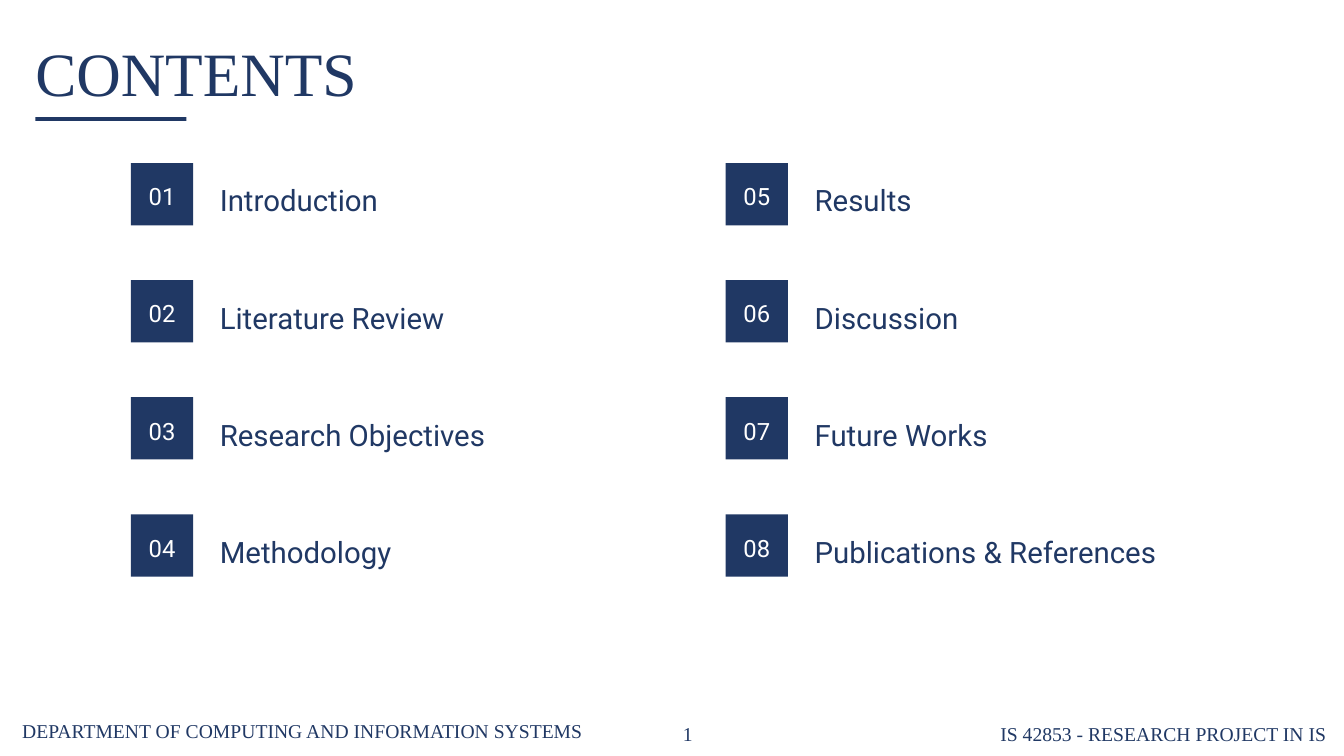
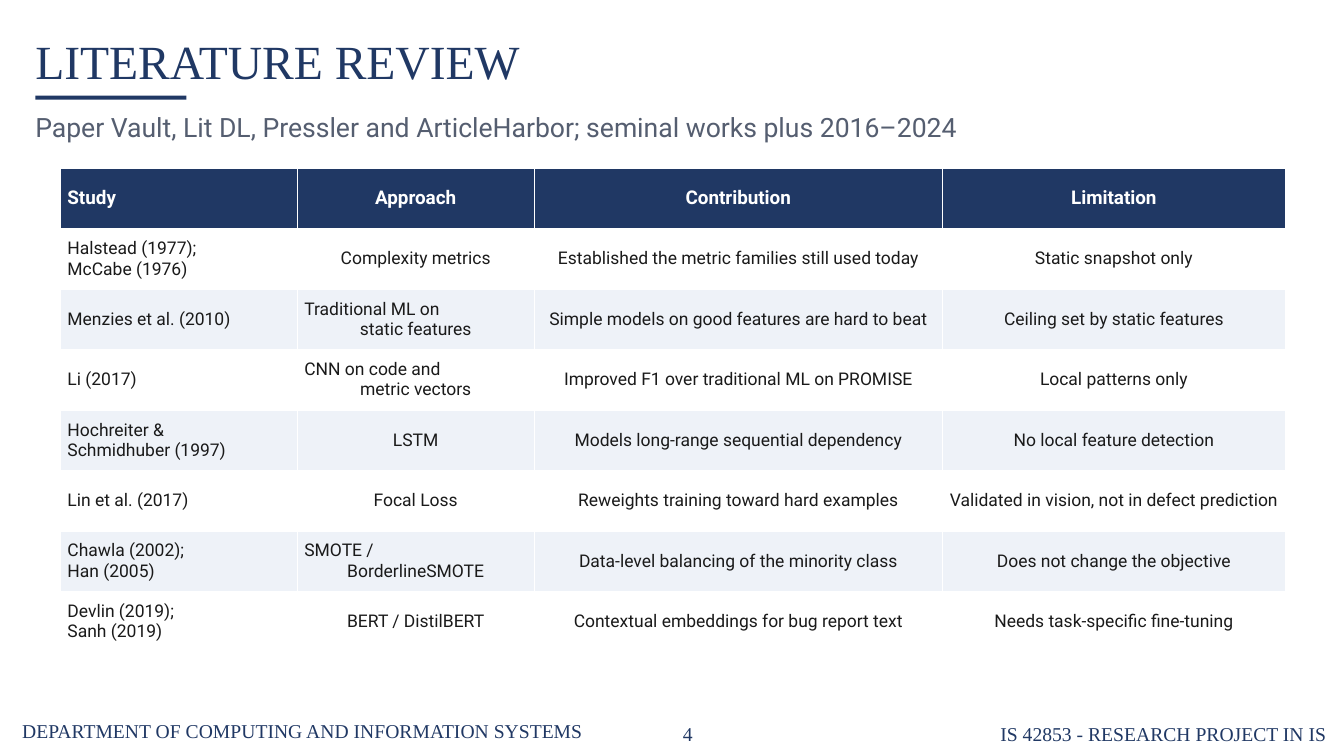
from dataclasses import dataclass

from pptx import Presentation
from pptx.dml.color import RGBColor
from pptx.enum.shapes import MSO_SHAPE as Shape
from pptx.enum.text import MSO_ANCHOR as Anchor, MSO_AUTO_SIZE as AutoSize, PP_ALIGN as Align
from pptx.util import Cm, Pt


@dataclass(frozen=True)
class Theme:
    navy: RGBColor = RGBColor(0x20, 0x38, 0x64)
    white: RGBColor = RGBColor(0xFF, 0xFF, 0xFF)
    band: RGBColor = RGBColor(0xEE, 0xF2, 0xF8)
    slate: RGBColor = RGBColor(0x55, 0x5E, 0x70)
    ink: RGBColor = RGBColor(0x1A, 0x1A, 0x1A)
    serif: str = "Times New Roman"
    sans: str = "Roboto"
    contents_title: float = 44
    table_title: float = 34
    topic: float = 21
    subtitle: float = 19
    number: float = 17
    footer: float = 14
    header: float = 13.5
    cell: float = 12.5


theme = Theme()


def write(frame, text, size, color=theme.navy, font=theme.sans, bold=False,
          align=Align.LEFT, anchor=Anchor.TOP, spacing=1.15, margins=(0, 0)):
    frame.word_wrap = True
    frame.vertical_anchor = anchor
    frame.margin_left = frame.margin_right = Cm(margins[0])
    frame.margin_top = frame.margin_bottom = Cm(margins[1])
    lines = text.split("\n")
    for index, line in enumerate(lines):
        paragraph = frame.paragraphs[0] if index == 0 else frame.add_paragraph()
        paragraph.alignment = align if line == lines[-1] else Align.LEFT
        paragraph.line_spacing = spacing
        run = paragraph.add_run()
        run.text = line
        run.font.name = font
        run.font.size = Pt(size)
        run.font.bold = bold
        run.font.color.rgb = color


def place(slide, box, text="", fill=None, **style):
    area = [Cm(length) for length in box]
    if fill is None:
        part = slide.shapes.add_textbox(*area)
        part.text_frame.auto_size = AutoSize.SHAPE_TO_FIT_TEXT
    else:
        part = slide.shapes.add_shape(Shape.RECTANGLE, *area)
        part.shadow.inherit = False
        part.fill.solid()
        part.fill.fore_color.rgb = fill
        part.line.fill.background()
    if text:
        write(part.text_frame, text, **style)


deck = Presentation()
deck.slide_width, deck.slide_height = Cm(33.87), Cm(19.05)

pages = [
    ("CONTENTS", "1", (0.89, 0.61, 15.24, 2.13), theme.contents_title, 2.95),
    ("LITERATURE REVIEW", "4", (0.89, 0.51, 26.16, 1.83), theme.table_title, 2.41),
]
slides = []
for title, page_number, title_box, title_size, rule_top in pages:
    slide = deck.slides.add_slide(deck.slide_layouts[6])
    footers = [
        ("DEPARTMENT OF COMPUTING AND INFORMATION SYSTEMS", (0.56, 18.03, 15.29, 0.81), Align.LEFT),
        ("IS 42853 - RESEARCH PROJECT IN IS", (24.69, 18.11, 8.74, 0.71), Align.RIGHT),
        (page_number, (16.23, 18.11, 2.21, 0.71), Align.CENTER),
    ]
    for footer, footer_box, align in footers:
        place(slide, footer_box, footer, size=theme.footer, font=theme.serif, align=align)
    place(slide, title_box, title, size=title_size, font=theme.serif, anchor=Anchor.MIDDLE)
    place(slide, (0.89, rule_top, 3.81, 0.1), fill=theme.navy)
    slides.append(slide)
contents, review = slides

topics = ["Introduction", "Literature Review", "Research Objectives", "Methodology",
          "Results", "Discussion", "Future Works", "Publications & References"]
for index, topic in enumerate(topics):
    column, row = divmod(index, 4)
    left, top = 3.3 + 14.99 * column, 4.11 + 2.95 * row
    place(contents, (left, top, 1.57, 1.57), f"{index + 1:02}", fill=theme.navy,
          size=theme.number, color=theme.white, align=Align.CENTER, anchor=Anchor.MIDDLE)
    place(contents, (left + 2.24, top + 0.3, 11.68, 1.14), topic,
          size=theme.topic, anchor=Anchor.MIDDLE)

place(review, (0.89, 2.67, 31.5, 1.12),
      "Paper Vault, Lit DL, Pressler and ArticleHarbor; seminal works plus 2016–2024",
      size=theme.subtitle, color=theme.slate)

studies = [
    ("Study", "Approach", "Contribution", "Limitation"),
    ("Halstead (1977);\nMcCabe (1976)", "Complexity metrics",
     "Established the metric families still used today", "Static snapshot only"),
    ("Menzies et al. (2010)", "Traditional ML on\nstatic features",
     "Simple models on good features are hard to beat", "Ceiling set by static features"),
    ("Li (2017)", "CNN on code and\nmetric vectors",
     "Improved F1 over traditional ML on PROMISE", "Local patterns only"),
    ("Hochreiter &\nSchmidhuber (1997)", "LSTM",
     "Models long-range sequential dependency", "No local feature detection"),
    ("Lin et al. (2017)", "Focal Loss",
     "Reweights training toward hard examples", "Validated in vision, not in defect prediction"),
    ("Chawla (2002);\nHan (2005)", "SMOTE /\nBorderlineSMOTE",
     "Data-level balancing of the minority class", "Does not change the objective"),
    ("Devlin (2019);\nSanh (2019)", "BERT / DistilBERT",
     "Contextual embeddings for bug report text", "Needs task-specific fine-tuning"),
]
widths = [5.97, 5.97, 10.29, 8.64]
table = review.shapes.add_table(len(studies), len(widths), Cm(1.52), Cm(4.24),
                                Cm(sum(widths)), Cm(12.19)).table
for column, width in zip(table.columns, widths):
    column.width = Cm(width)
for row, study in enumerate(studies):
    heading = row == 0
    fill = theme.navy if heading else theme.white if row % 2 else theme.band
    for column, text in enumerate(study):
        cell = table.cell(row, column)
        cell.fill.solid()
        cell.fill.fore_color.rgb = fill
        cell.vertical_anchor = Anchor.MIDDLE
        cell.margin_left = cell.margin_right = Cm(0.18)
        cell.margin_top = cell.margin_bottom = Cm(0.05)
        write(cell.text_frame, text, size=theme.header if heading else theme.cell,
              color=theme.white if heading else theme.ink, bold=heading, spacing=1,
              align=Align.CENTER if column else Align.LEFT,
              anchor=None, margins=(0.18, 0.05))

deck.save("out.pptx")
